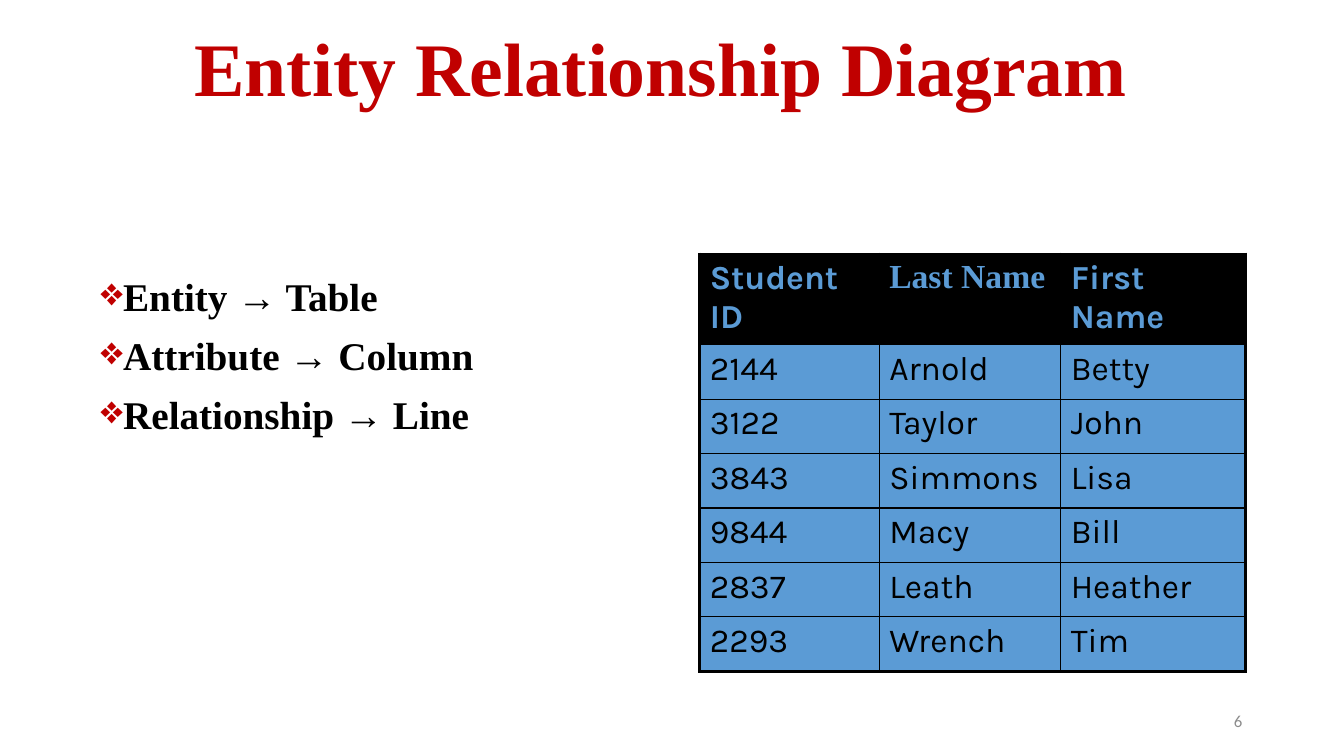
from lxml import etree
from pptx import Presentation
from pptx.dml.color import RGBColor
from pptx.enum.text import MSO_ANCHOR, MSO_AUTO_SIZE, PP_ALIGN
from pptx.oxml.ns import qn
from pptx.util import Inches, Pt

MIDDLE, TOP = MSO_ANCHOR.MIDDLE, MSO_ANCHOR.TOP
CENTER, RIGHT = PP_ALIGN.CENTER, PP_ALIGN.RIGHT
GROW = MSO_AUTO_SIZE.SHAPE_TO_FIT_TEXT

# Content
TITLE = "Entity Relationship Diagram"
MAPPINGS = ["Entity → Table", "Attribute → Column", "Relationship → Line"]
STUDENTS = [
    ("Student ID", "Last Name", "First Name"),
    ("2144", "Arnold", "Betty"),
    ("3122", "Taylor", "John"),
    ("3843", "Simmons", "Lisa"),
    ("9844", "Macy", "Bill"),
    ("2837", "Leath", "Heather"),
    ("2293", "Wrench", "Tim"),
]
PAGE_NUMBER = "6"

# Style
COLORS = {"red": "C00000", "black": "000000", "blue": "5B9BD5", "gray": "8C8C8C"}
SERIF, SANS, TABLE_FONT = "Times New Roman", "Calibri", "Karla"
COLUMN_WIDTHS = [1.78, 1.8, 1.83]
HEADER_HEIGHT, ROW_HEIGHT = 0.9, 0.54
OUTER_LINE, INNER_LINE = 2.25, 1


def add_run(paragraph, text, size, font, color, bold=False):
    run = paragraph.add_run()
    run.text = text
    run.font.size = Pt(size)
    run.font.name = font
    run.font.bold = bold
    run.font.color.rgb = RGBColor.from_string(COLORS[color])


def add_text_box(slide, left, top, width, height, anchor=TOP):
    box = slide.shapes.add_textbox(
        Inches(left), Inches(top), Inches(width), Inches(height))
    frame = box.text_frame
    frame.word_wrap = True
    frame.vertical_anchor = anchor
    return frame


def add_bullet(paragraph, symbol, color):
    properties = paragraph._p.get_or_add_pPr()
    properties.set("marL", "0")
    properties.set("indent", str(Inches(-0.38)))
    bullet_color = etree.SubElement(properties, qn("a:buClr"))
    etree.SubElement(bullet_color, qn("a:srgbClr"), val=COLORS[color])
    etree.SubElement(properties, qn("a:buChar"), char=symbol)


def set_space_before_percent(paragraph, percent):
    properties = paragraph._p.get_or_add_pPr()
    space = etree.SubElement(properties, qn("a:spcBef"))
    etree.SubElement(space, qn("a:spcPct"), val=str(percent * 1000))


def set_borders(cell, widths):
    properties = cell._tc.get_or_add_tcPr()
    for position, (side, width) in enumerate(widths.items()):
        line = etree.Element(qn(f"a:ln{side}"), w=str(Pt(width)))
        fill = etree.SubElement(line, qn("a:solidFill"))
        etree.SubElement(fill, qn("a:srgbClr"), val=COLORS["black"])
        properties.insert(position, line)


def add_student_table(slide):
    row_count, column_count = len(STUDENTS), len(COLUMN_WIDTHS)
    heights = [HEADER_HEIGHT] + [ROW_HEIGHT] * (row_count - 1)
    table = slide.shapes.add_table(
        row_count, column_count, Inches(6.94), Inches(2.52),
        Inches(sum(COLUMN_WIDTHS)), Inches(sum(heights))).table
    for column, width in zip(table.columns, COLUMN_WIDTHS):
        column.width = Inches(width)
    for row, height in zip(table.rows, heights):
        row.height = Inches(height)

    for r, student in enumerate(STUDENTS):
        for c, text in enumerate(student):
            cell = table.cell(r, c)
            header = r == 0
            cell.fill.solid()
            cell.fill.fore_color.rgb = RGBColor.from_string(
                COLORS["black" if header else "blue"])
            paragraph = cell.text_frame.paragraphs[0]
            set_space_before_percent(paragraph, 20)
            add_run(paragraph, text, 24,
                    SERIF if text == "Last Name" else TABLE_FONT,
                    "blue" if header else "black", header)
            on_edge = {"L": c == 0, "R": c == column_count - 1,
                       "T": header, "B": r == row_count - 1}
            set_borders(cell, {side: OUTER_LINE if edge else INNER_LINE
                               for side, edge in on_edge.items()})


def main():
    presentation = Presentation()
    presentation.slide_width = Inches(13.33)
    presentation.slide_height = Inches(7.5)
    slide = presentation.slides.add_slide(presentation.slide_layouts[6])

    # Page number
    paragraph = add_text_box(slide, 9.42, 6.95, 3, 0.4, MIDDLE).paragraphs[0]
    paragraph.alignment = RIGHT
    add_run(paragraph, PAGE_NUMBER, 12, SANS, "gray")

    # Mapping list
    frame = add_text_box(slide, 0.9, 2.7, 4.23, 1.71)
    frame.auto_size = GROW
    for index, mapping in enumerate(MAPPINGS):
        paragraph = frame.add_paragraph() if index else frame.paragraphs[0]
        paragraph.level = 1
        paragraph.line_spacing = 0.9
        paragraph.space_before = paragraph.space_after = Pt(6)
        add_bullet(paragraph, "❖", "red")
        add_run(paragraph, mapping, 28, SERIF, "black", True)

    # Title
    paragraph = add_text_box(slide, 0.9, 0.26, 11.31, 0.99).paragraphs[0]
    paragraph.alignment = CENTER
    paragraph.line_spacing = 0.9
    add_run(paragraph, TITLE, 54, SERIF, "red", True)

    # Student table
    add_student_table(slide)

    presentation.save("out.pptx")


if __name__ == "__main__":
    main()
